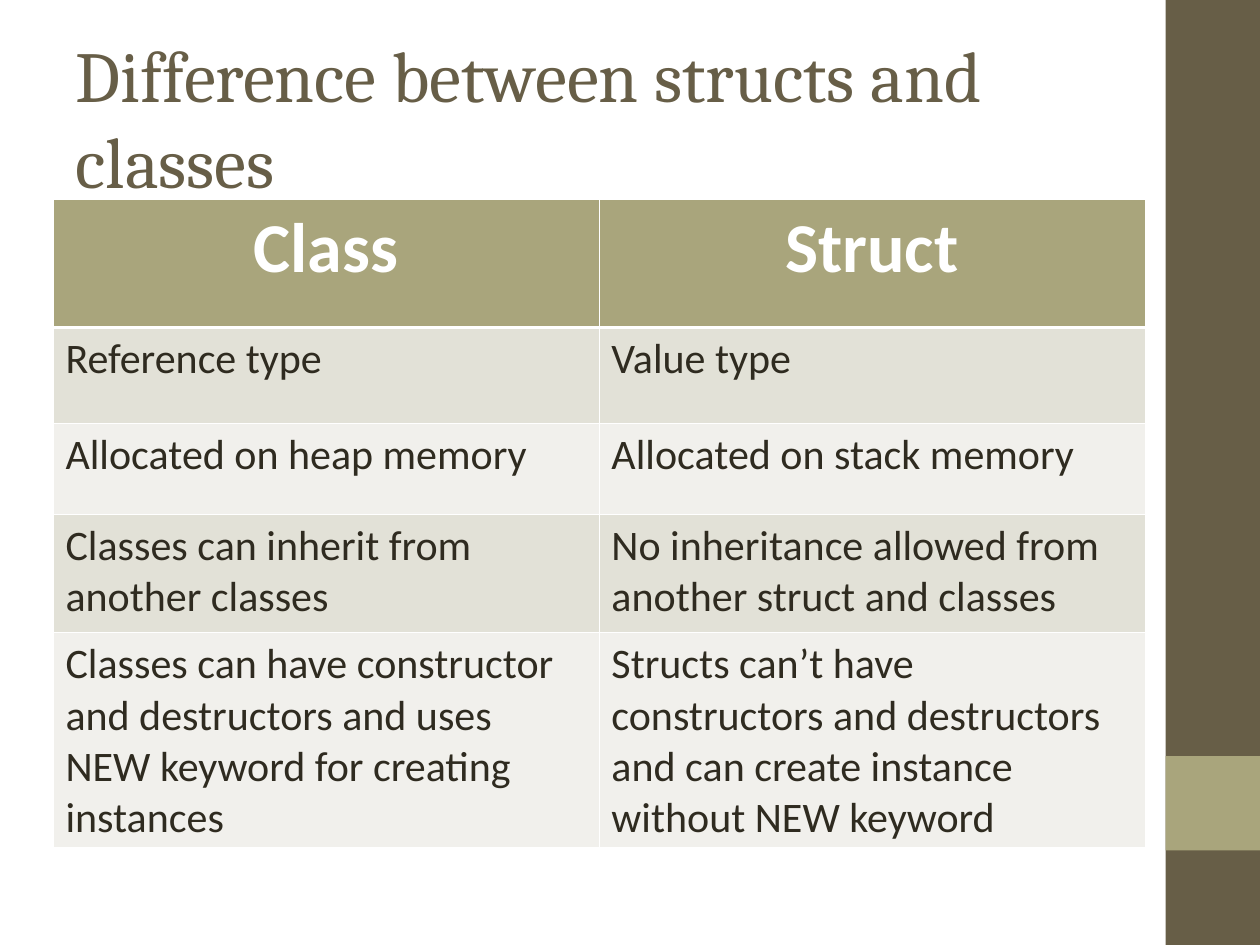
from pptx import Presentation
from pptx.dml.color import RGBColor
from pptx.enum import shapes, text
from pptx.oxml import parse_xml
from pptx.oxml.ns import nsdecls
from pptx.util import Pt

COLORS = {
    "brown": "675E47",
    "olive": "A9A57C",
    "band_dark": "E2E1D7",
    "band_light": "F1F0EC",
    "ink": "2F2B20",
    "white": "FFFFFF",
}


def add_run(paragraph, wording, font_name, size, color, bold=False):
    run = paragraph.add_run()
    run.text = wording
    run.font.name = font_name
    run.font.size = Pt(size)
    run.font.bold = bold
    run.font.color.rgb = RGBColor.from_string(COLORS[color])


def add_border(cell, side, width):
    cell._tc.get_or_add_tcPr().append(parse_xml(
        f'<a:{side} {nsdecls("a")} w="{Pt(width)}"><a:solidFill>'
        f'<a:srgbClr val="{COLORS["white"]}"/></a:solidFill></a:{side}>'))


deck = Presentation()
deck.slide_width, deck.slide_height = Pt(720), Pt(540)
slide = deck.slides.add_slide(deck.slide_layouts[6])

# Side bar with its accent square
for color, top, height in [("brown", 0, 540), ("olive", 432, 54)]:
    bar = slide.shapes.add_shape(
        shapes.MSO_SHAPE.RECTANGLE, Pt(666), Pt(top), Pt(54), Pt(height))
    bar.shadow.inherit = False
    bar.fill.solid()
    bar.fill.fore_color.rgb = RGBColor.from_string(COLORS[color])
    bar.line.fill.background()

# Title
title = slide.shapes.add_textbox(Pt(36), Pt(21.6), Pt(600), Pt(90)).text_frame
title.word_wrap = True
title.vertical_anchor = text.MSO_ANCHOR.MIDDLE
add_run(title.paragraphs[0], "Difference between structs and classes",
        "Cambria", 41, "brown")

# Comparison table
comparison = [
    ("Class", "Struct"),
    ("Reference type", "Value type"),
    ("Allocated on heap memory", "Allocated on stack memory"),
    ("Classes can inherit from another classes",
     "No inheritance allowed from another struct and classes"),
    ("Classes can have constructor and destructors and uses NEW keyword "
     "for creating instances",
     "Structs can’t have constructors and destructors and can create "
     "instance without NEW keyword"),
]
row_heights = [73.2, 54.6, 52, 67.8, 122.4]
table = slide.shapes.add_table(
    len(comparison), 2, Pt(30.24), Pt(114), Pt(624), Pt(sum(row_heights))).table
for column in table.columns:
    column.width = Pt(312)

for row, (wordings, height) in enumerate(zip(comparison, row_heights)):
    table.rows[row].height = Pt(height)
    header = row == 0
    band = "olive" if header else "band_dark" if row % 2 else "band_light"
    for col, wording in enumerate(wordings):
        cell = table.cell(row, col)
        cell.margin_left = cell.margin_right = Pt(7.2)
        cell.margin_top = cell.margin_bottom = Pt(3.6)
        # Borders come before the fill; the rule under the header is heavier
        add_border(cell, "lnL", 0.45)
        add_border(cell, "lnR", 0.45)
        add_border(cell, "lnT", 1.47 if row == 1 else 0.45)
        add_border(cell, "lnB", 1.47 if header else 0.45)
        cell.fill.solid()
        cell.fill.fore_color.rgb = RGBColor.from_string(COLORS[band])
        paragraph = cell.text_frame.paragraphs[0]
        if header:
            paragraph.alignment = text.PP_ALIGN.CENTER
            add_run(paragraph, wording, "Calibri", 40, "white", bold=True)
        else:
            add_run(paragraph, wording, "Calibri", 24, "ink")

deck.save("out.pptx")
